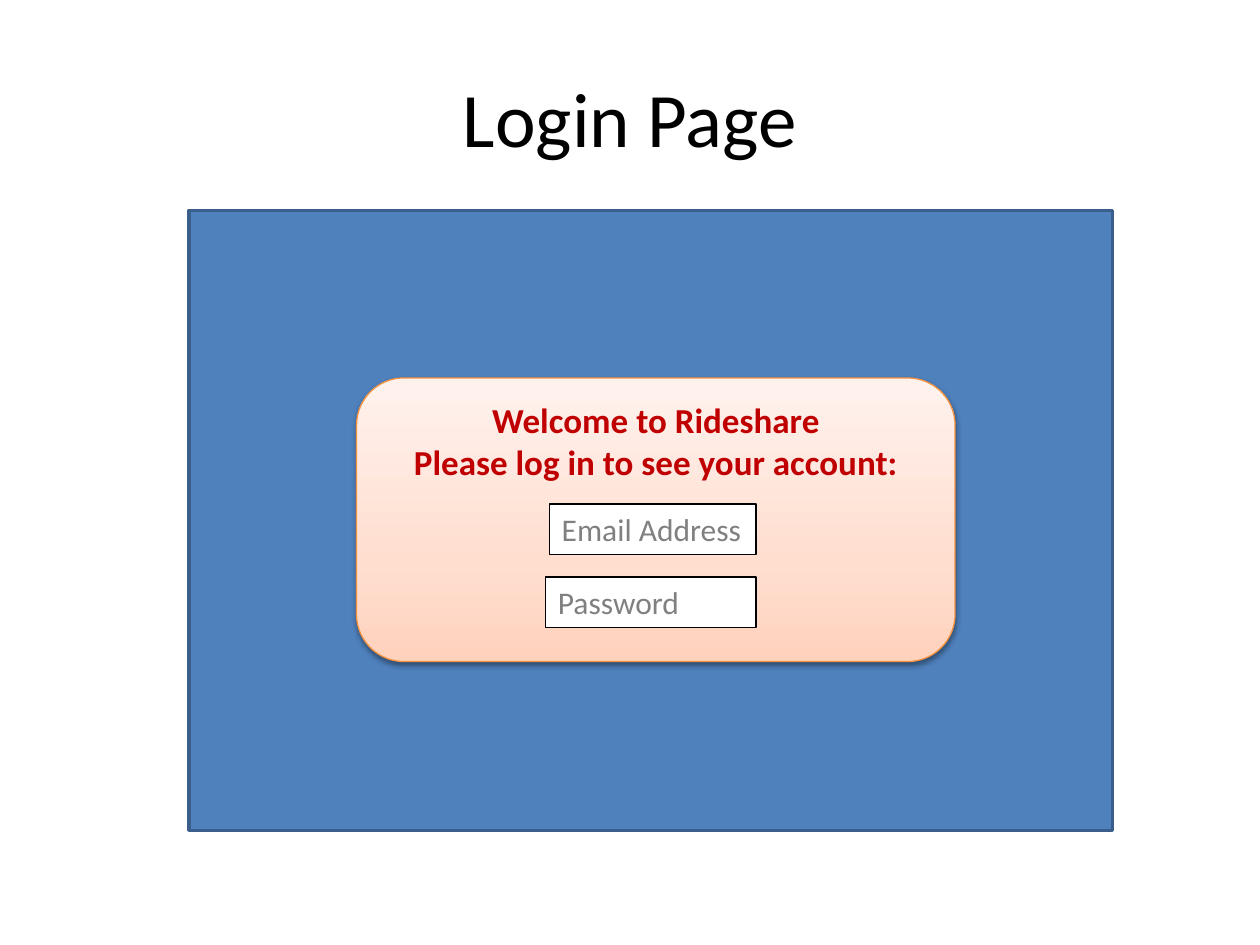
from dataclasses import dataclass
from typing import Any, Optional

import pptx
import pptx.dml.color
import pptx.enum.shapes
import pptx.enum.text
import pptx.oxml
import pptx.util
from pptx.util import Inches

SHAPE = pptx.enum.shapes.MSO_SHAPE
ANCHOR = pptx.enum.text.MSO_ANCHOR
ALIGN = pptx.enum.text.PP_ALIGN
AUTO_SIZE = pptx.enum.text.MSO_AUTO_SIZE
DRAWING = "http://schemas.openxmlformats.org/drawingml/2006/main"
CARD_STOPS = ((0, "FFD2BD"), (35, "FFDED0"), (100, "FFF2ED"))


@dataclass(frozen=True)
class TextStyle:
    size: int
    color: str
    bold: bool = False
    align: Any = ALIGN.LEFT


@dataclass(frozen=True)
class Panel:
    left: float
    top: float
    width: float
    height: float
    fill: Optional[str]
    line: str
    line_width: float = 0.75
    kind: Any = SHAPE.RECTANGLE
    lines: tuple[str, ...] = ()
    style: Optional[TextStyle] = None
    frame: Optional[dict[str, Any]] = None


def rgb(value: str) -> pptx.dml.color.RGBColor:
    return pptx.dml.color.RGBColor.from_string(value)


def apply(target: Any, values: dict[str, Any]) -> None:
    for name, value in values.items():
        setattr(target, name, value)


def write(box: Any, lines: tuple[str, ...], style: TextStyle, frame: dict[str, Any]) -> None:
    text = box.text_frame
    apply(text, frame)
    for index, line in enumerate(lines):
        para = text.add_paragraph() if index else text.paragraphs[0]
        para.alignment = style.align
        span = para.add_run()
        span.text = line
        apply(span.font, {"name": "Calibri", "size": pptx.util.Pt(style.size), "bold": style.bold})
        span.font.color.rgb = rgb(style.color)


def draw(shapes: Any, panel: Panel) -> Any:
    box = shapes.add_shape(panel.kind, Inches(panel.left), Inches(panel.top),
                           Inches(panel.width), Inches(panel.height))
    box.shadow.inherit = False
    if panel.fill:
        box.fill.solid()
        box.fill.fore_color.rgb = rgb(panel.fill)
    box.line.color.rgb = rgb(panel.line)
    box.line.width = pptx.util.Pt(panel.line_width)
    if panel.style:
        write(box, panel.lines, panel.style, panel.frame or {})
    return box


def add_gradient(box: Any) -> None:
    stops = "".join(f'<a:gs pos="{pos * 1000}"><a:srgbClr val="{color}"/></a:gs>'
                    for pos, color in CARD_STOPS)
    gradient = pptx.oxml.parse_xml(
        f'<a:gradFill xmlns:a="{DRAWING}" rotWithShape="1"><a:gsLst>{stops}</a:gsLst>'
        '<a:lin ang="16200000" scaled="0"/></a:gradFill>')
    box.element.spPr.find(f"{{{DRAWING}}}prstGeom").addnext(gradient)


def add_shadow(box: Any) -> None:
    shadow = pptx.oxml.parse_xml(
        f'<a:outerShdw xmlns:a="{DRAWING}" blurRad="{pptx.util.Pt(3.1)}" '
        f'dist="{pptx.util.Pt(1.6)}" dir="5400000" rotWithShape="0">'
        '<a:srgbClr val="000000"><a:alpha val="38000"/></a:srgbClr></a:outerShdw>')
    box.element.spPr.find(f"{{{DRAWING}}}effectLst").append(shadow)


deck = pptx.Presentation()
apply(deck, {"slide_width": Inches(10), "slide_height": Inches(7.5)})
page = deck.slides.add_slide(deck.slide_layouts[6])

# Title
title = page.shapes.add_textbox(Inches(0.5), Inches(0.3), Inches(9), Inches(1.25))
write(title, ("Login Page",), TextStyle(44, "000000", align=ALIGN.CENTER),
      {"word_wrap": True, "vertical_anchor": ANCHOR.MIDDLE})

# Browser area
draw(page.shapes, Panel(1.5, 1.67, 7.33, 4.92, "4F81BD", "3A5F8C", 2))

# Login card
login = page.shapes.add_group_shape()
card = draw(login.shapes, Panel(
    2.83, 3, 4.75, 2.25, None, "F69240", kind=SHAPE.ROUNDED_RECTANGLE,
    lines=("Welcome to Rideshare", "Please log in to see your account:"),
    style=TextStyle(20, "C00000", True, ALIGN.CENTER),
    frame={"word_wrap": True, "vertical_anchor": ANCHOR.TOP}))
add_gradient(card)
add_shadow(card)

# Input fields, aligned on their right edge
FIELD_RIGHT = 6
for label, left, top, wrap in (("Email Address", 4.36, 4, False), ("Password", 4.33, 4.58, True)):
    draw(login.shapes, Panel(
        left, top, FIELD_RIGHT - left, 0.4, "FFFFFF", "000000",
        lines=(label,), style=TextStyle(18, "808080"),
        frame={"word_wrap": wrap, "vertical_anchor": ANCHOR.TOP,
               "auto_size": AUTO_SIZE.SHAPE_TO_FIT_TEXT}))

deck.save("out.pptx")
